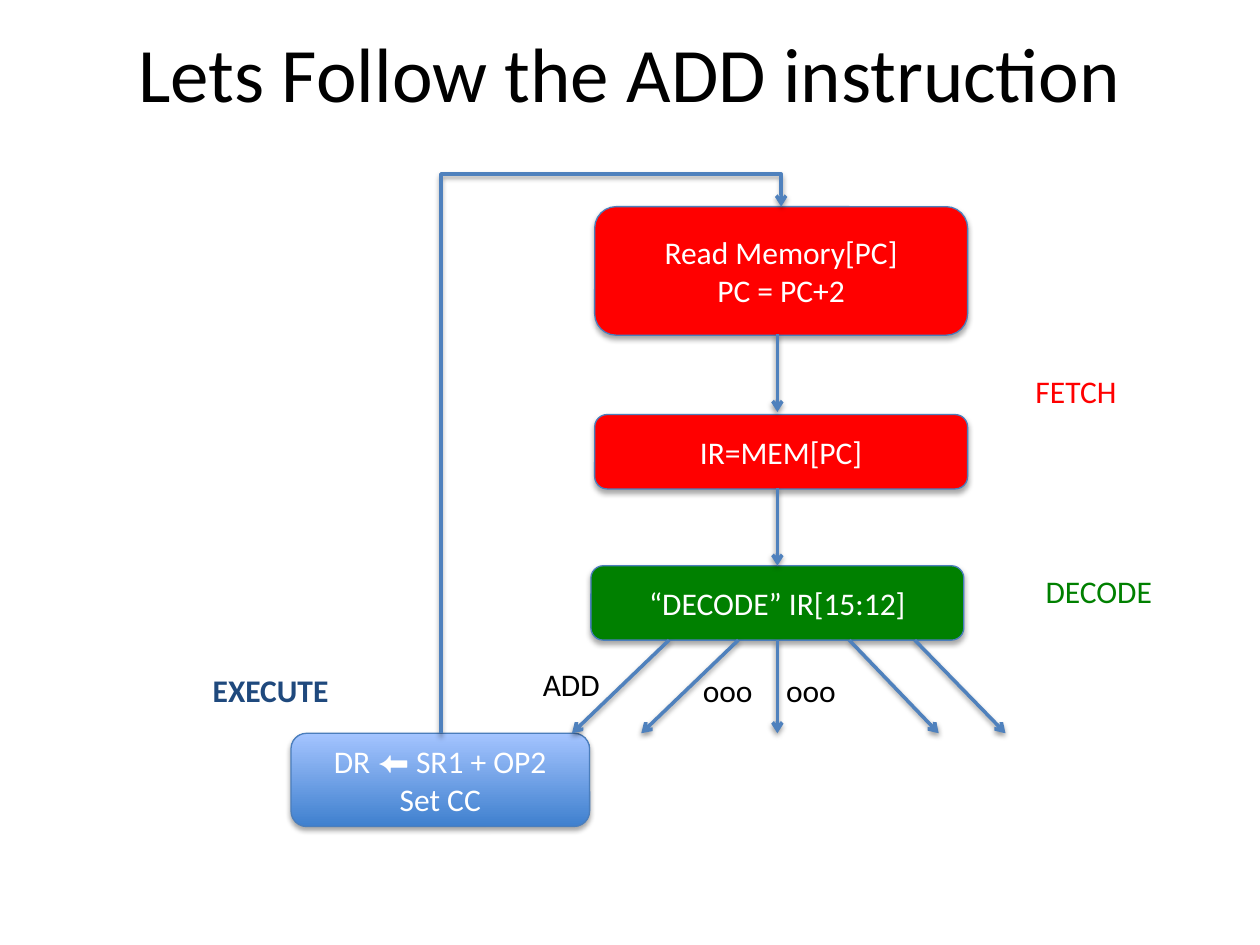
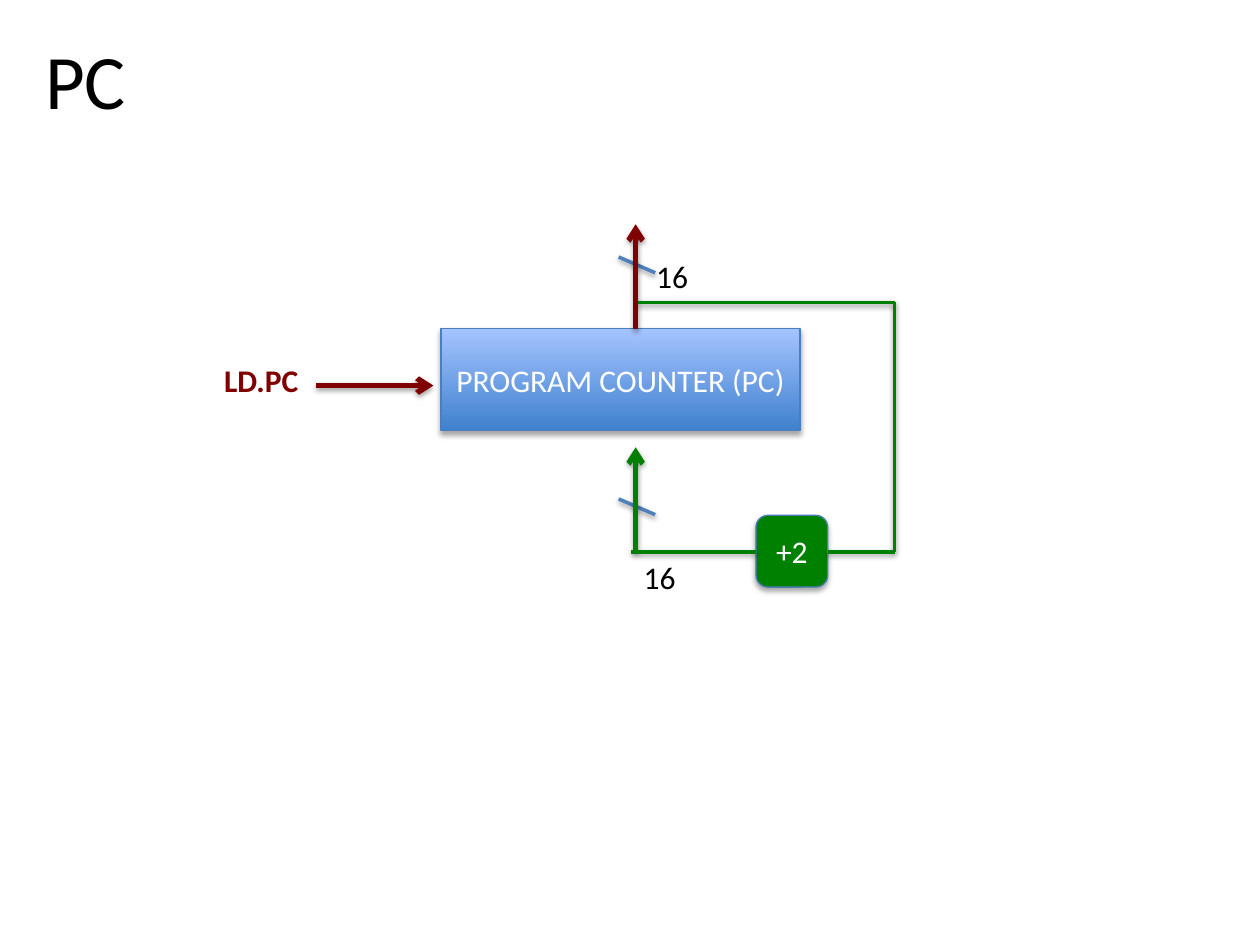
from dataclasses import dataclass
from typing import Optional

from lxml.etree import SubElement
from pptx import Presentation
from pptx.dml.color import RGBColor
from pptx.enum.shapes import MSO_CONNECTOR, MSO_SHAPE
from pptx.enum.text import MSO_ANCHOR, PP_ALIGN
from pptx.oxml.ns import qn
from pptx.util import Inches, Pt

# Shared look
BLACK = RGBColor(0x00, 0x00, 0x00)
WHITE = RGBColor(0xFF, 0xFF, 0xFF)
RED = RGBColor(0xFF, 0x00, 0x00)
GREEN = RGBColor(0x00, 0x80, 0x00)
MAROON = RGBColor(0x80, 0x00, 0x00)
NAVY = RGBColor(0x1F, 0x49, 0x7D)
BLUE = RGBColor(0x4F, 0x81, 0xBD)
OUTLINE = RGBColor(0x4B, 0x7E, 0xBC)
GRADIENT = (RGBColor(0x3F, 0x80, 0xCE), RGBColor(0xA4, 0xC4, 0xFF))
FONT = "Calibri"
TITLE_SIZE, BODY_SIZE = 44, 18

# The slide is a grid of 100 columns by 75 rows
WIDTH, HEIGHT = Inches(10), Inches(7.5)
COLUMNS, ROWS = 100, 75
LABEL_HEIGHT = 4


@dataclass
class Box:
    left: float
    top: float
    width: float
    height: float
    lines: tuple[str, ...]
    fill: Optional[RGBColor] = None  # None means the blue gradient
    rounded: bool = True


@dataclass
class Wire:
    start: tuple[float, float]
    end: tuple[float, float]
    color: RGBColor = BLUE
    weight: float = 2
    arrow: bool = True


@dataclass
class Label:
    left: float
    top: float
    width: float
    text: str
    color: RGBColor = BLACK
    bold: bool = False


def column(number: float) -> int:
    return round(WIDTH * number / COLUMNS)


def row(number: float) -> int:
    return round(HEIGHT * number / ROWS)


def write(frame, lines, size, color, align, bold=False) -> None:
    """Write one paragraph for each line."""
    for index, line in enumerate(lines):
        para = frame.add_paragraph() if index else frame.paragraphs[0]
        para.alignment = align
        span = para.add_run()
        span.text = line
        span.font.name, span.font.size = FONT, Pt(size)
        span.font.bold, span.font.color.rgb = bold, color


def add_shadow(effects, opacity: int, distance: float) -> None:
    """Put a soft shadow below into an effect list."""
    shadow = SubElement(effects, qn("a:outerShdw"), blurRad=str(Pt(3.1)),
                        dist=str(Pt(distance)), dir="5400000", rotWithShape="0")
    color = SubElement(shadow, qn("a:srgbClr"), val="000000")
    SubElement(color, qn("a:alpha"), val=str(opacity * 1000))


def draw_title(page, left, top, width, text, align) -> None:
    box = page.shapes.add_textbox(column(left), row(top), column(width), row(12.5))
    box.text_frame.word_wrap = True
    box.text_frame.vertical_anchor = MSO_ANCHOR.MIDDLE
    write(box.text_frame, [text], TITLE_SIZE, BLACK, align)


def draw_box(page, item: Box) -> None:
    kind = MSO_SHAPE.ROUNDED_RECTANGLE if item.rounded else MSO_SHAPE.RECTANGLE
    box = page.shapes.add_shape(kind, column(item.left), row(item.top),
                                column(item.width), row(item.height))
    if item.fill is None:
        box.fill.gradient()
        box.fill.gradient_angle = 90
        for stop, color in zip(box.fill.gradient_stops, GRADIENT):
            stop.color.rgb = color
    else:
        box.fill.solid()
        box.fill.fore_color.rgb = item.fill
    box.line.color.rgb, box.line.width = OUTLINE, Pt(0.75)
    box.shadow.inherit = False
    add_shadow(box._element.spPr.find(qn("a:effectLst")), 35, 1.8)
    box.text_frame.word_wrap = True
    box.text_frame.vertical_anchor = MSO_ANCHOR.MIDDLE
    write(box.text_frame, item.lines, BODY_SIZE, WHITE, PP_ALIGN.CENTER)


def draw_wire(page, item: Wire, kind=MSO_CONNECTOR.STRAIGHT):
    (left, top), (right, bottom) = item.start, item.end
    wire = page.shapes.add_connector(kind, column(left), row(top),
                                     column(right), row(bottom))
    wire.line.color.rgb, wire.line.width = item.color, Pt(item.weight)
    properties = wire._element.spPr
    if item.arrow:
        SubElement(properties.find(qn("a:ln")), qn("a:tailEnd"), type="arrow")
    add_shadow(SubElement(properties, qn("a:effectLst")), 38, 1.6)
    return wire


def draw_loop(page, start, end, crest: float) -> None:
    """Elbow arrow that climbs to the crest row, then drops onto its end."""
    middle_x, middle_y = (start[0] + end[0]) / 2, (start[1] + end[1]) / 2
    rise, run = start[1] - end[1], end[0] - start[0]
    # The elbow runs sideways by nature, so it is laid flat and turned upright
    flat = Wire((middle_x + rise / 2, middle_y + run / 2),
                (middle_x - rise / 2, middle_y - run / 2))
    properties = draw_wire(page, flat, MSO_CONNECTOR.ELBOW)._element.spPr
    properties.find(qn("a:xfrm")).set("rot", "5400000")
    guides = properties.find(qn("a:prstGeom")).find(qn("a:avLst"))
    reach = round((start[1] - crest) / rise * 100000)
    SubElement(guides, qn("a:gd"), name="adj1", fmla=f"val {reach}")


def draw_label(page, item: Label) -> None:
    box = page.shapes.add_textbox(column(item.left), row(item.top),
                                  column(item.width), row(LABEL_HEIGHT))
    box.text_frame.word_wrap = False
    write(box.text_frame, [item.text], BODY_SIZE, item.color, PP_ALIGN.LEFT, item.bold)


def draw_parts(page, boxes, wires, labels) -> None:
    for item in boxes:
        draw_box(page, item)
    for item in wires:
        draw_wire(page, item)
    for item in labels:
        draw_label(page, item)


deck = Presentation()
deck.slide_width, deck.slide_height = WIDTH, HEIGHT
blank = deck.slide_layouts[6]

# Slide 1: instruction cycle
page = deck.slides.add_slide(blank)
draw_title(page, 5, -0.6, 90, "Lets Follow the ADD instruction", PP_ALIGN.CENTER)
SPINE, FAN_TOP, FAN_BOTTOM = 61.7, 50.8, 58.2
fan = [(53.1, 45.4), (58.6, 50.9), (SPINE, SPINE), (67.4, 74.5), (72.6, 79.8)]
draw_parts(
    page,
    [
        Box(47.2, 16.4, 29.6, 10.2, ("Read Memory[PC]", "PC = PC+2"), RED),
        Box(47.2, 32.9, 29.6, 5.9, ("IR=MEM[PC]",), RED),
        Box(46.9, 44.9, 29.6, 5.9, ("“DECODE” IR[15:12]",), GREEN),
        Box(23.1, FAN_BOTTOM, 23.7, 7.4, ("DR ⬅ SR1 + OP2", "Set CC")),
    ],
    [Wire((SPINE, top), (SPINE, top + 6.2)) for top in (26.5, 38.7)]
    + [Wire((start, FAN_TOP), (end, FAN_BOTTOM)) for start, end in fan],
    [
        Label(54.8, 52.8, 6, "ooo"),
        Label(61.4, 52.8, 6, "ooo"),
        Label(42.1, 52.3, 6.6, "ADD"),
        Label(81.2, 29, 8.6, "FETCH", RED),
        Label(82, 44.9, 10.6, "DECODE", GREEN),
        Label(15.9, 52.8, 11.3, "EXECUTE", NAVY, True),
    ],
)
draw_loop(page, (35, FAN_BOTTOM), (62, 16.4), 13.8)

# Slide 2: program counter
page = deck.slides.add_slide(blank)
draw_title(page, 2.6, 0, 95, "PC", PP_ALIGN.LEFT)
BUS, LOOP_RIGHT, LOOP_TOP, LOOP_BOTTOM = 50.45, 71, 24, 43.8
draw_parts(
    page,
    [
        Box(35, 26.1, 28.5, 8.1, ("PROGRAM COUNTER (PC)",), rounded=False),
        Box(60, 40.9, 5.7, 5.7, ("+2",), GREEN),
    ],
    # Bus width strokes, then arrows, then the increment loop
    [Wire((49.1, top), (52, top + 1.25), arrow=False) for top in (20.4, 39.6)]
    + [
        Wire((25.1, 30.6), (34.4, 30.6), MAROON, 3),
        Wire((BUS, 26.1), (BUS, 17.8), MAROON, 3),
        Wire((BUS, LOOP_BOTTOM), (BUS, 35.5), GREEN, 3),
    ]
    + [
        Wire(start, end, GREEN, arrow=False)
        for start, end in (
            ((50.6, LOOP_TOP), (LOOP_RIGHT, LOOP_TOP)),
            ((LOOP_RIGHT, LOOP_TOP), (LOOP_RIGHT, LOOP_BOTTOM)),
            ((65.7, LOOP_BOTTOM), (LOOP_RIGHT, LOOP_BOTTOM)),
            ((50.1, LOOP_BOTTOM), (60, LOOP_BOTTOM)),
        )
    ],
    [
        Label(16.8, 28.2, 8, "LD.PC", MAROON, True),
        Label(51.1, 19.9, 4.6, "16"),
        Label(50.1, 43.8, 4.6, "16"),
    ],
)

deck.save("out.pptx")
